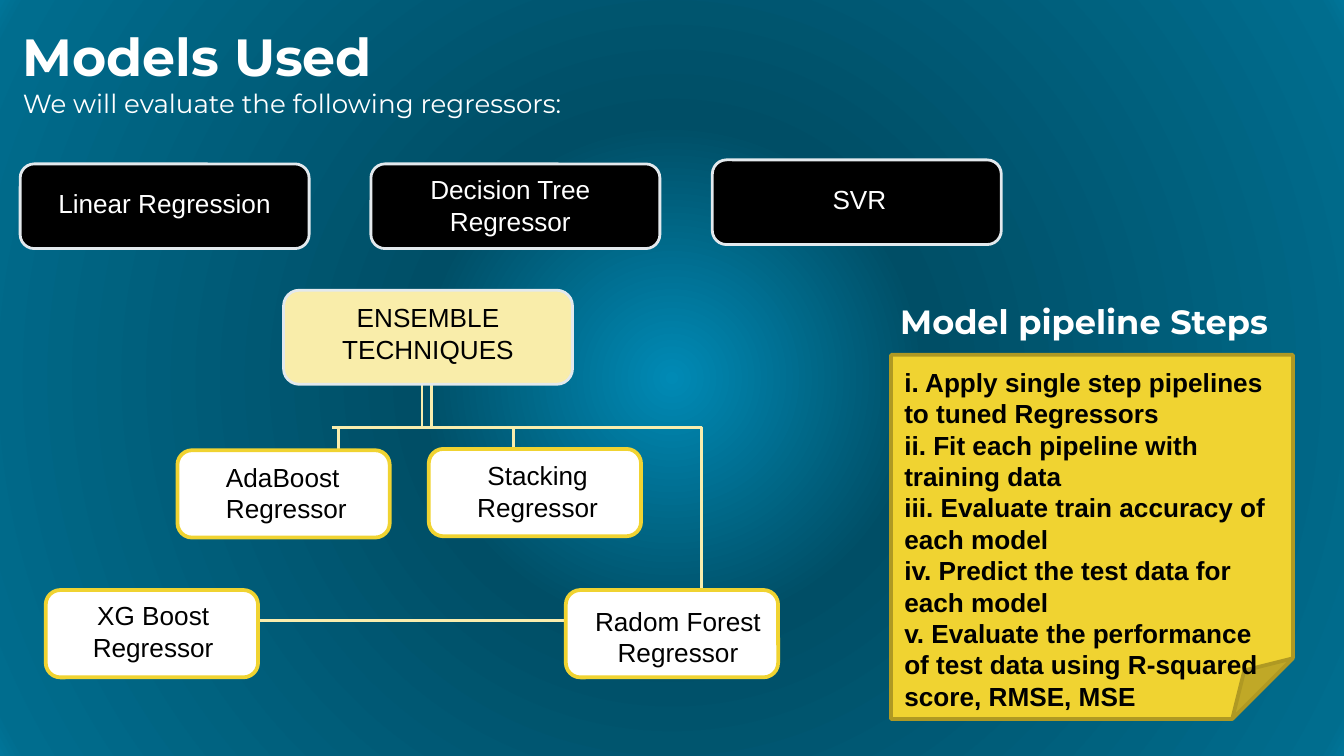
import pptx
import pptx.dml.color
import pptx.enum.shapes
import pptx.enum.text
import pptx.oxml
import pptx.oxml.ns
import pptx.util

THEME = {
    "white": "FFFFFF", "black": "000000", "frost": "E3E9ED",
    "cream": "F9EDAA", "wire": "F9EDAD", "gold": "F0D331", "bronze": "AF9923",
    "glow": [(0, "008AB5"), (33, "004E66"), (97, "006D8E"), (100, "007599")],
    "head": "Montserrat", "text": "Arial",
    "big": 28, "mid": 18, "small": 14,
}
SHAPE = pptx.enum.shapes.MSO_SHAPE
LINK = pptx.enum.shapes.MSO_CONNECTOR
ALIGN = pptx.enum.text.PP_ALIGN
ANCHOR = pptx.enum.text.MSO_ANCHOR
FIT = pptx.enum.text.MSO_AUTO_SIZE
tag = pptx.oxml.ns.qn
rgb = pptx.dml.color.RGBColor.from_string

deck = pptx.Presentation()
deck.slide_width = pptx.util.Inches(10)
deck.slide_height = deck.slide_width * 9 // 16
cell = deck.slide_width / 100
slide = deck.slides.add_slide(deck.slide_layouts[5])


def grid(*spans):
    return [pptx.util.Emu(round(span * cell)) for span in spans]


def write(para, words, size="small", ink="black", face="text", bold=False):
    run = para.add_run()
    run.text = words
    run.font.size = pptx.util.Pt(THEME[size])
    run.font.color.rgb = rgb(THEME[ink])
    run.font.name = THEME[face]
    run.font.bold = bold


slide.background.fill.gradient()
old = slide.element.find(".//" + tag("a:gradFill"))
stops = "".join(
    f'<a:gs pos="{pos * 1000}"><a:srgbClr val="{tint}"/></a:gs>'
    for pos, tint in THEME["glow"])
glow = pptx.oxml.parse_xml(
    f'<a:gradFill {pptx.oxml.ns.nsdecls("a")} rotWithShape="1">'
    f'<a:gsLst>{stops}</a:gsLst><a:path path="circle">'
    '<a:fillToRect l="50000" t="50000" r="50000" b="50000"/></a:path></a:gradFill>')
old.getparent().replace(old, glow)

title = slide.shapes.title
title.left, title.top, title.width, title.height = grid(0.7, 0.8, 84.4, 6.3)
frame = title.text_frame
frame.auto_size = FIT.NONE
frame.word_wrap = True
frame.vertical_anchor = ANCHOR.TOP
frame.margin_left, frame.margin_top = grid(1, 1)
para = frame.paragraphs[0]
para.alignment = ALIGN.LEFT
write(para, "Models Used", "big", "white", "head", True)
para.add_line_break()
write(para, "We will evaluate the following regressors:", "small", "white", "head")

wires = [
    (25.2, 28.35, 6.9, 6.9, 90, False, 50),
    (6.5, 31.8, 18.2, 14.4, 0, True, -151.2),
    (31.35, 28.4, 6.9, 6.8, 270, True, 50),
    (38.4, 31.8, 16.4, 14.4, 0, False, 84.3),
]
for left, top, wide, high, turn, flip, bend in wires:
    ends = [left, left + wide]
    if flip:
        ends.reverse()
    wire = slide.shapes.add_connector(
        LINK.ELBOW, *grid(ends[0], top, ends[1], top + high))
    wire.line.color.rgb = rgb(THEME["wire"])
    wire.line.width = pptx.util.Pt(1.5)
    form = wire.element.spPr
    form.find(tag("a:xfrm")).set("rot", str(turn * 60000))
    guide = pptx.oxml.parse_xml(
        f'<a:gd {pptx.oxml.ns.nsdecls("a")} name="adj1" fmla="val {round(bend * 1000)}"/>')
    form.find(".//" + tag("a:avLst")).append(guide)
    form.append(pptx.oxml.parse_xml(f'<a:effectLst {pptx.oxml.ns.nsdecls("a")}/>'))

kinds = {
    "base": (21.5, 6.3, "black", "frost", 1.5, "white"),
    "group": (21.5, 7, "cream", "frost", 1.5, "black"),
    "part": (15.8, 6.5, "white", "gold", 2, "black"),
}
boxes = [
    ("base", 1.5, 12.2, 0, -0.26, ALIGN.CENTER, ["Linear Regression"]),
    ("base", 27.6, 12.2, -0.37, -0.1, ALIGN.CENTER, ["Decision Tree Regressor"]),
    ("base", 53, 11.9, 0.2, -0.22, ALIGN.CENTER, ["SVR"]),
    ("group", 21.1, 21.6, 0, -0.3, ALIGN.CENTER, ["ENSEMBLE TECHNIQUES"]),
    ("part", 3.4, 43.9, 0.1, -0.2, ALIGN.CENTER, ["XG Boost", "Regressor"]),
    ("part", 13.2, 33.5, 1.4, -0.1, ALIGN.LEFT, ["AdaBoost", "Regressor"]),
    ("part", 31.9, 33.4, 0.2, -0.1, ALIGN.CENTER, ["Stacking", "Regressor"]),
    ("part", 42.1, 43.9, 0.45, 0.2, ALIGN.CENTER, ["Radom Forest", "Regressor"]),
]
for kind, left, top, right, down, side, lines in boxes:
    wide, high, fill, edge, thick, ink = kinds[kind]
    box = slide.shapes.add_shape(
        SHAPE.FLOWCHART_ALTERNATE_PROCESS, *grid(left, top, wide, high))
    box.shadow.inherit = False
    box.fill.solid()
    box.fill.fore_color.rgb = rgb(THEME[fill])
    box.line.color.rgb = rgb(THEME[edge])
    box.line.width = pptx.util.Pt(thick)
    frame = box.text_frame
    frame.word_wrap = True
    frame.vertical_anchor = ANCHOR.MIDDLE
    frame.margin_left, frame.margin_right = grid(
        0.5 + max(0, 2 * right), 0.5 + max(0, -2 * right))
    frame.margin_top, frame.margin_bottom = grid(max(0, 2 * down), max(0, -2 * down))
    for row, words in enumerate(lines):
        para = frame.add_paragraph() if row else frame.paragraphs[0]
        para.alignment = side
        write(para, words, ink=ink)

label = slide.shapes.add_textbox(*grid(66, 21.9, 30.3, 4))
label.text_frame.word_wrap = True
write(label.text_frame.paragraphs[0], "Model pipeline Steps", "mid", "white", "head", True)

note = slide.shapes.add_shape(SHAPE.FOLDED_CORNER, *grid(66.3, 26.4, 29.9, 27.1))
note.shadow.inherit = False
note.fill.solid()
note.fill.fore_color.rgb = rgb(THEME["gold"])
note.line.color.rgb = rgb(THEME["bronze"])
note.line.width = pptx.util.Pt(2)
frame = note.text_frame
frame.word_wrap = True
frame.vertical_anchor = ANCHOR.TOP
frame.margin_left, frame.margin_top, frame.margin_right = grid(1, 0.85, 1)
steps = [
    "i. Apply single step pipelines to tuned Regressors",
    "ii. Fit each pipeline with training data",
    "iii. Evaluate train accuracy of each model",
    "iv. Predict the test data for each model",
    "v. Evaluate the performance of test data using R-squared score, RMSE, MSE",
]
para = frame.paragraphs[0]
para.alignment = ALIGN.LEFT
for row, words in enumerate(steps):
    if row:
        para.add_line_break()
    write(para, words, bold=True)

deck.save("out.pptx")
